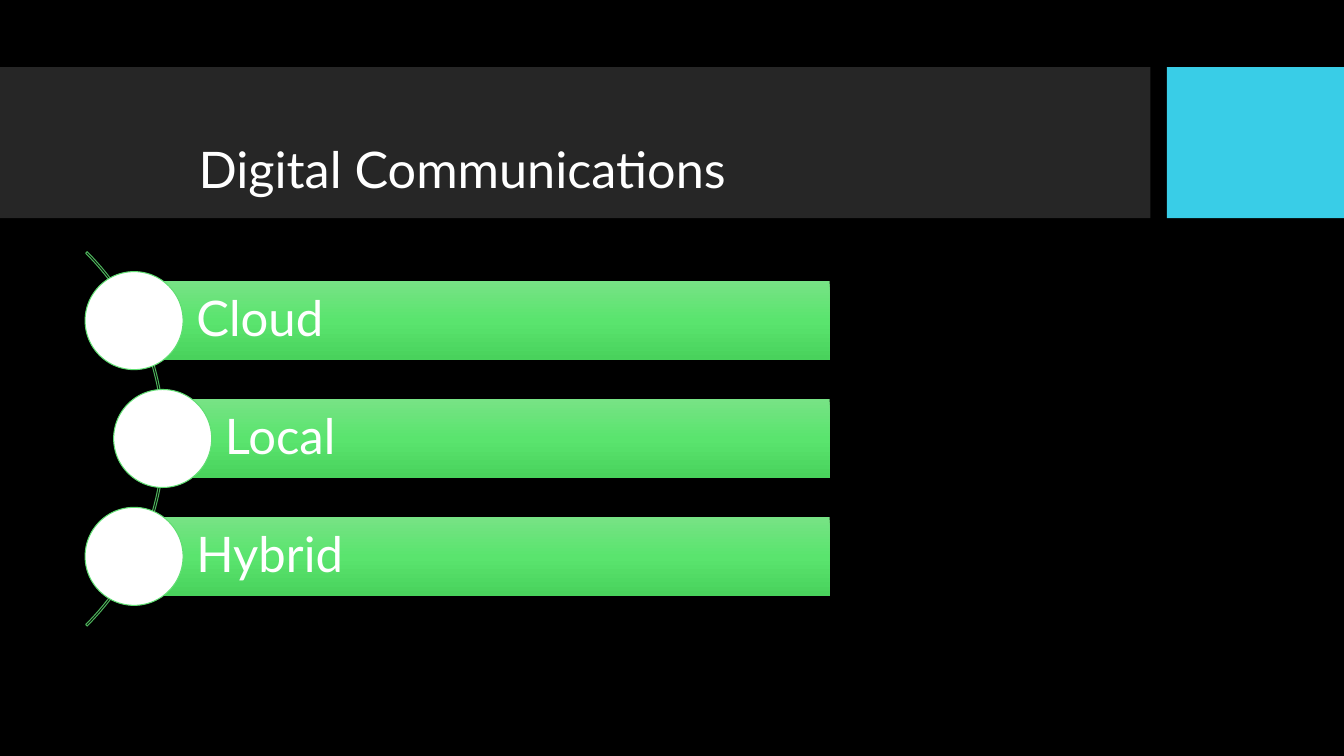
import copy

import pptx
import pptx.dml.color
import pptx.enum.shapes
import pptx.enum.text
import pptx.oxml.ns
import pptx.util

Cm = pptx.util.Cm
Pt = pptx.util.Pt
SHAPES = pptx.enum.shapes.MSO_SHAPE
ALIGN = pptx.enum.text.PP_ALIGN

COLOURS = {
    "background": "000000", "band": "262626", "accent": "39CDE7",
    "white": "FFFFFF", "arc": "4DB25B", "ring": "60DE72",
    "bar_top": "77E385", "bar_middle": "5AE46E", "bar_bottom": "49D25C",
}


def colour(name):
    return pptx.dml.color.RGBColor.from_string(COLOURS[name])


class SlideBuilder:
    font = "Lato"

    def __init__(self, slide):
        self.slide = slide
        slide.background.fill.solid()
        slide.background.fill.fore_color.rgb = colour("background")

    def shape(self, kind, left, top, width, height, fill=None, line=None):
        shape = self.slide.shapes.add_shape(
            kind, Cm(left), Cm(top), Cm(width), Cm(height))
        shape.shadow.inherit = False
        if fill:
            shape.fill.solid()
            shape.fill.fore_color.rgb = colour(fill)
        else:
            shape.fill.background()
        if line:
            shape.line.color.rgb = colour(line)
            shape.line.width = Pt(0.75)
        else:
            shape.line.fill.background()
        return shape

    def set_text(self, shape, text, size, align, left_inset=0.25):
        frame = shape.text_frame
        frame.word_wrap = True
        frame.vertical_anchor = pptx.enum.text.MSO_ANCHOR.MIDDLE
        frame.margin_left = Cm(left_inset)
        frame.margin_right = frame.margin_top = frame.margin_bottom = Cm(0.25)
        paragraph = frame.paragraphs[0]
        paragraph.text = text
        paragraph.alignment = align
        paragraph.line_spacing = 0.9
        paragraph.font.name = self.font
        paragraph.font.size = Pt(size)
        paragraph.font.color.rgb = colour("white")

    def title(self, text, left, top, width, height):
        box = self.slide.shapes.add_textbox(
            Cm(left), Cm(top), Cm(width), Cm(height))
        self.set_text(box, text, 36, ALIGN.CENTER)

    def arc(self, left, top, size):
        arc = self.shape(SHAPES.BLOCK_ARC, left, top, size, size, line="arc")
        for index, value in enumerate((189, 27, 0.004)):
            arc.adjustments[index] = value

    def bar(self, text, left, top, width, height):
        bar = self.shape(SHAPES.RECTANGLE, left, top, width, height)
        bar.fill.gradient()
        bar.fill.gradient_angle = 270
        # A new gradient has two stops; the middle one is a copy
        first = bar.element.spPr.find(".//" + pptx.oxml.ns.qn("a:gs"))
        first.addnext(copy.deepcopy(first))
        names = ("bar_top", "bar_middle", "bar_bottom")
        for index, stop in enumerate(bar.fill.gradient_stops):
            stop.position = index / 2
            stop.color.rgb = colour(names[index])
        self.set_text(bar, text, 35, ALIGN.LEFT, left_inset=1.57)

    def circle(self, centre_x, centre_y, size):
        self.shape(SHAPES.OVAL, centre_x - size / 2, centre_y - size / 2,
                   size, size, "white", "ring")


presentation = pptx.Presentation()
presentation.slide_width = Cm(33.87)
presentation.slide_height = Cm(19.05)
builder = SlideBuilder(
    presentation.slides.add_slide(presentation.slide_layouts[6]))

# Header band and title
builder.shape(SHAPES.RECTANGLE, 0, 1.69, 28.99, 3.81, "band")
builder.shape(SHAPES.RECTANGLE, 29.41, 1.69, 4.46, 3.81, "accent")
builder.title("Digital Communications", 1.63, 2.79, 20.04, 3.12)

# Curved list: each circle is centred on the left edge of its bar
BAR_RIGHT, BAR_HEIGHT, CIRCLE_SIZE = 20.91, 1.98, 2.47
FIRST_CENTRE, PITCH = 8.08, 2.97
builder.arc(-9.19, 4.39, 13.34)
items = (("Cloud", 3.38), ("Local", 4.1), ("Hybrid", 3.38))
for row, (text, left) in enumerate(items):
    centre = FIRST_CENTRE + row * PITCH
    builder.bar(text, left, centre - BAR_HEIGHT / 2,
                BAR_RIGHT - left, BAR_HEIGHT)
    builder.circle(left, centre, CIRCLE_SIZE)

presentation.save("out.pptx")
